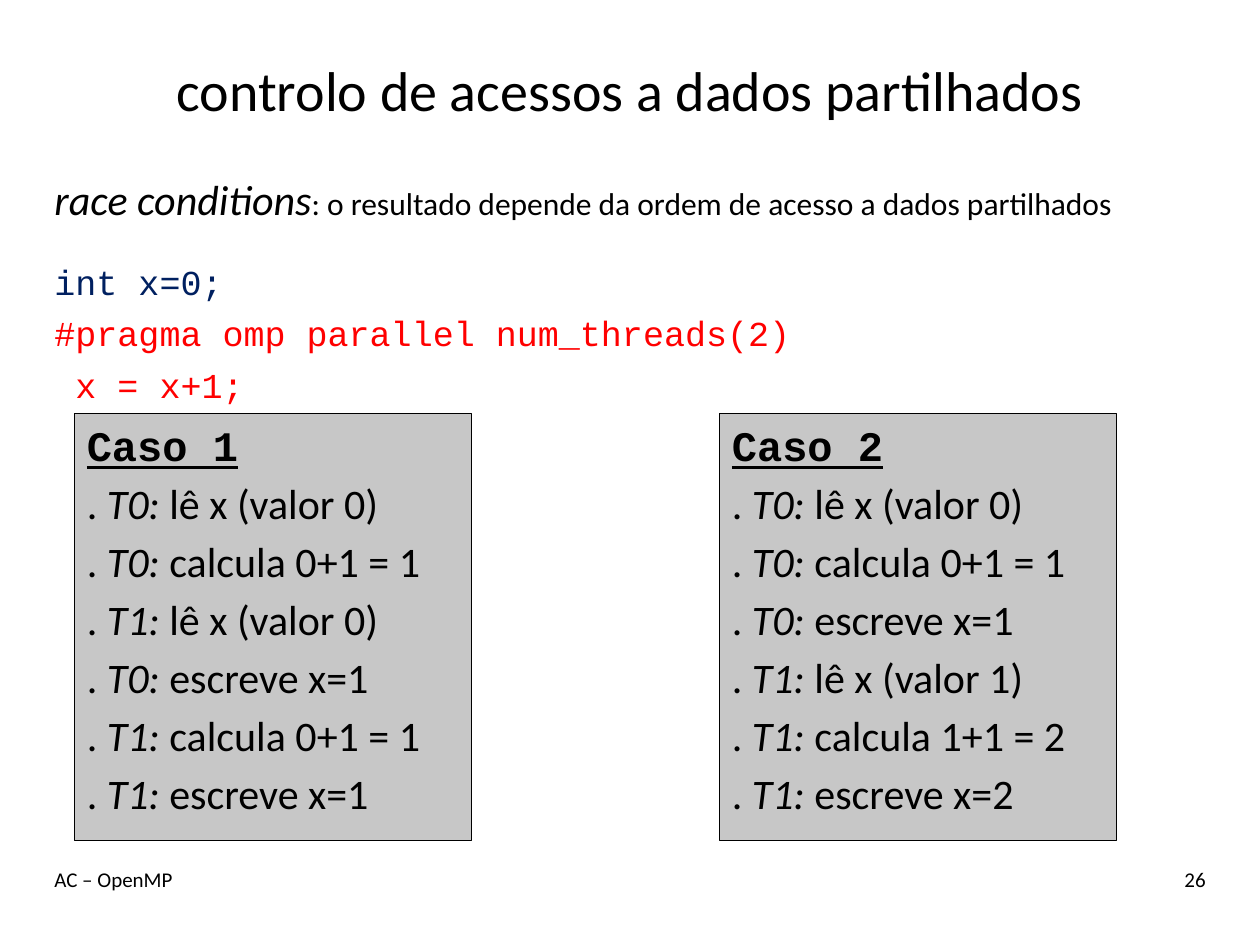
from pptx import Presentation
from pptx.dml.color import RGBColor
from pptx.enum.shapes import MSO_SHAPE
from pptx.enum.text import MSO_ANCHOR, PP_ALIGN
from pptx.util import Inches, Pt

RECTANGLE = MSO_SHAPE.RECTANGLE
TOP, MIDDLE = MSO_ANCHOR.TOP, MSO_ANCHOR.MIDDLE
LEFT, CENTER, RIGHT = PP_ALIGN.LEFT, PP_ALIGN.CENTER, PP_ALIGN.RIGHT

COLORS = {"black": "000000", "navy": "002060", "red": "FF0000", "gray": "C7C7C7"}
SANS, MONO = "Calibri", "Courier New"
WIDTH, HEIGHT = 10, 7.5
MARGIN = WIDTH / 30
CONTENT = WIDTH - 2 * MARGIN

CASES = [
    ("Caso 1", [("T0:", "lê x (valor 0)"), ("T0:", "calcula 0+1 = 1"),
                ("T1:", "lê x (valor 0)"), ("T0:", "escreve x=1"),
                ("T1:", "calcula 0+1 = 1"), ("T1:", "escreve x=1")]),
    ("Caso 2", [("T0:", "lê x (valor 0)"), ("T0:", "calcula 0+1 = 1"),
                ("T0:", "escreve x=1"), ("T1:", "lê x (valor 1)"),
                ("T1:", "calcula 1+1 = 2"), ("T1:", "escreve x=2")]),
]


def add_span(para, text, size=24, font=SANS, color="black",
             bold=False, italic=False, underline=False):
    span = para.add_run()
    span.text = text
    span.font.size = Pt(size)
    span.font.name = font
    span.font.bold = bold
    span.font.italic = italic
    span.font.underline = underline
    span.font.color.rgb = RGBColor.from_string(COLORS[color])


def add_para(frame, before=0, align=LEFT):
    para = frame.paragraphs[0]
    if para.runs:
        para = frame.add_paragraph()
    para.alignment = align
    para.space_before = Pt(before)
    return para


def add_text_box(slide, box):
    frame = slide.shapes.add_textbox(*map(Inches, box)).text_frame
    frame.word_wrap = True
    frame.vertical_anchor = TOP
    return frame


def place_title(slide, box):
    title = slide.shapes.title
    title.left, title.top, title.width, title.height = map(Inches, box)
    title.text_frame.vertical_anchor = MIDDLE
    para = add_para(title.text_frame, align=CENTER)
    add_span(para, "controlo de acessos a dados partilhados", size=32)


def place_intro(slide, box):
    frame = add_text_box(slide, box)
    para = add_para(frame, before=2)
    add_span(para, "race conditions", italic=True)
    add_span(para, ": o resultado depende da ordem de acesso a dados partilhados", size=18)
    code = [("int x=0;", "navy", 20.7),
            ("#pragma omp parallel num_threads(2)", "red", 5.4),
            (" x = x+1;", "red", 5.4)]
    for text, color, before in code:
        add_span(add_para(frame, before), text, size=20, font=MONO, color=color)


def place_case(slide, box, heading, steps):
    panel = slide.shapes.add_shape(RECTANGLE, *map(Inches, box))
    panel.shadow.inherit = False
    panel.fill.solid()
    panel.fill.fore_color.rgb = RGBColor.from_string(COLORS["gray"])
    panel.line.color.rgb = RGBColor.from_string(COLORS["black"])
    panel.line.width = Pt(0.75)
    frame = panel.text_frame
    frame.word_wrap = True
    frame.vertical_anchor = TOP
    add_span(add_para(frame, 4.3), heading, font=MONO, bold=True, underline=True)
    for thread, action in steps:
        para = add_para(frame, 4.3)
        add_span(para, ". ")
        add_span(para, thread + " ", italic=True)
        add_span(para, action)


def place_footer(slide, box):
    left, top, width, height = box
    number_width = width / 7
    parts = [("AC – OpenMP", left, width * 0.75, LEFT),
             ("26", left + width - number_width, number_width, RIGHT)]
    for text, part_left, part_width, align in parts:
        frame = add_text_box(slide, (part_left, top, part_width, height))
        add_span(add_para(frame, align=align), text, size=12)


def build_slide(deck):
    slide = deck.slides.add_slide(deck.slide_layouts[5])
    place_title(slide, (MARGIN, 0.25, CONTENT, 0.92))
    place_footer(slide, (MARGIN, 6.83, CONTENT, 0.5))
    place_intro(slide, (MARGIN, 1.33, CONTENT, 1.94))
    for column, (heading, steps) in enumerate(CASES):
        place_case(slide, (0.59 + column * 5.12, 3.28, 3.15, 3.39), heading, steps)


deck = Presentation()
deck.slide_width, deck.slide_height = Inches(WIDTH), Inches(HEIGHT)
build_slide(deck)
deck.save("out.pptx")
